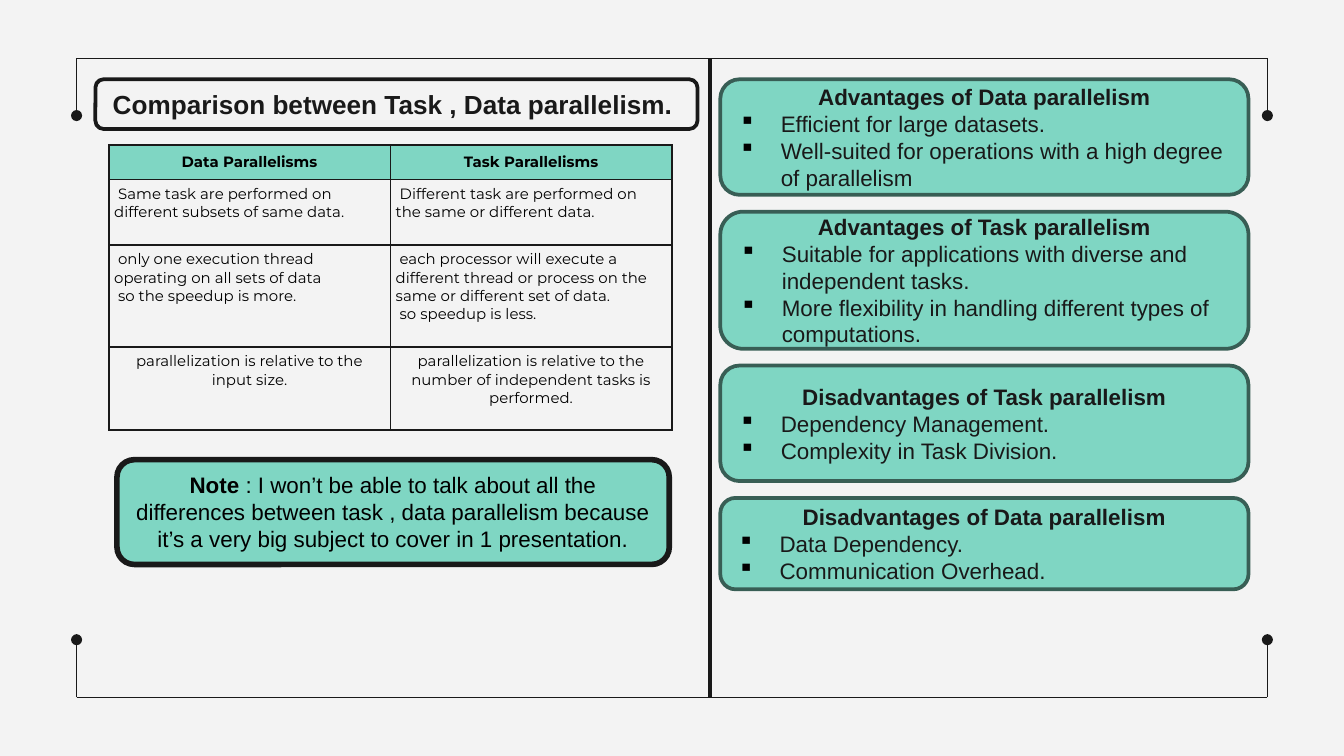
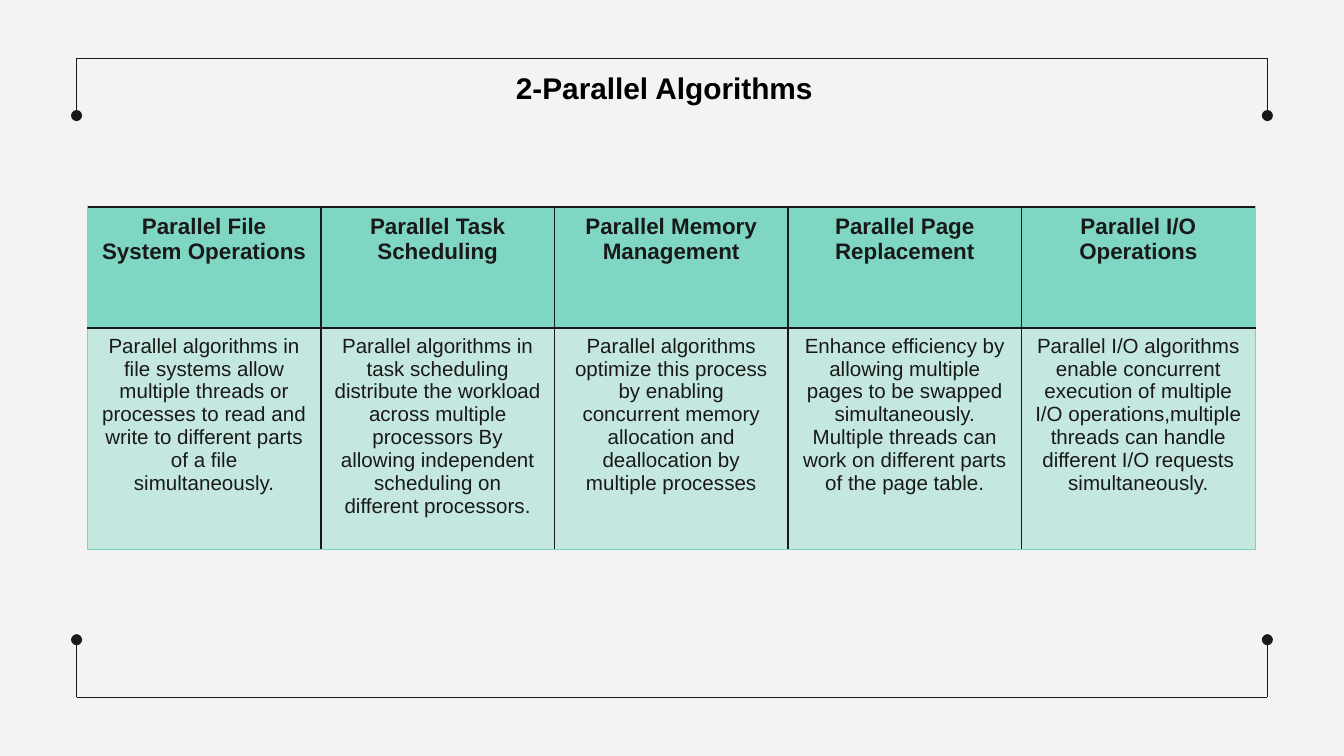
from dataclasses import dataclass

from lxml.etree import SubElement
from pptx import Presentation
from pptx.dml.color import RGBColor
from pptx.enum.shapes import MSO_CONNECTOR, MSO_SHAPE
from pptx.enum.text import MSO_ANCHOR, MSO_AUTO_SIZE, PP_ALIGN
from pptx.oxml import parse_xml
from pptx.oxml.ns import nsdecls, qn
from pptx.util import Inches, Pt


@dataclass(frozen=True)
class Theme:
    paper: str = "F3F3F3"
    ink: str = "191919"
    black: str = "000000"
    rule: str = "181818"
    mint: str = "7FD6C3"
    edge: str = "7AD3C0"
    pine: str = "385E55"
    sans: str = "Arial"
    grid: str = "Montserrat"
    title: int = 16
    head: int = 14
    body: int = 12
    cell: int = 11
    small: int = 8


T = Theme()
WIDTH, HEIGHT = Inches(10), Inches(5.625)
LEFT, MID = PP_ALIGN.LEFT, PP_ALIGN.CENTER

PAIRS = [
    (["Data Parallelisms"], ["Task Parallelisms"]),
    ([" Same task are performed on different subsets of same data."],
     [" Different task are performed on the same or different data."]),
    ([" only one execution thread operating on all sets of data",
      " so the speedup is more."],
     [" each processor will execute a different thread or process on the "
      "same or different set of data.", " so speedup is less."]),
    (["parallelization is relative to the input size."],
     ["parallelization is relative to the number of independent tasks is "
      "performed."]),
]

# Height, heading, points
CARDS = [
    (8.6, "Advantages of Data parallelism",
     ["Efficient for large datasets.",
      "Well-suited for operations with a high degree of parallelism"]),
    (10.2, "Advantages of Task parallelism",
     ["Suitable for applications with diverse and independent tasks.",
      "More flexibility in handling different types of computations."]),
    (8.6, "Disadvantages of Task parallelism",
     ["Dependency Management.", "Complexity in Task Division."]),
    (6.8, "Disadvantages of Data parallelism",
     ["Data Dependency.", "Communication Overhead."]),
]

NOTE = (": I won’t be able to talk about all the differences between task , "
        "data parallelism because it’s a very big subject to cover in "
        "1 presentation.")

KINDS = [
    ("Parallel File System Operations",
     "Parallel algorithms in file systems allow multiple threads or processes "
     "to read and write to different parts of a file simultaneously."),
    ("Parallel Task Scheduling",
     "Parallel algorithms in task scheduling distribute the workload across "
     "multiple processors By allowing independent scheduling on different "
     "processors."),
    ("Parallel Memory Management",
     "Parallel algorithms optimize this process by enabling concurrent memory "
     "allocation and deallocation by multiple processes"),
    ("Parallel Page Replacement",
     "Enhance efficiency by allowing multiple pages to be swapped "
     "simultaneously. Multiple threads can work on different parts of the "
     "page table."),
    ("Parallel I/O Operations",
     "Parallel I/O algorithms enable concurrent execution of multiple I/O "
     "operations,multiple threads can handle different I/O requests "
     "simultaneously."),
]


def span(*units):
    """Grid units to lengths: 100 columns across, with square cells."""
    return [round(unit * WIDTH / 100) for unit in units]


def rgb(tone):
    return RGBColor.from_string(tone)


# Text
def style(para, size, tone=T.ink, bold=False, align=MID, face=T.sans):
    para.alignment = align
    font = para.font
    font.size, font.name, font.bold = Pt(size), face, bold
    font.color.rgb = rgb(tone)


def fresh(frame, index):
    return frame.add_paragraph() if index else frame.paragraphs[0]


def write(frame, lines, size, **look):
    for index, line in enumerate(lines):
        para = fresh(frame, index)
        para.text = line
        style(para, size, **look)


def bullet(frame, text):
    para = frame.add_paragraph()
    para.text = text
    props = para._p.get_or_add_pPr()
    indent = Inches(0.31)
    props.set("marL", str(indent))
    props.set("indent", str(-indent))
    tone = SubElement(props, qn("a:buClr"))
    SubElement(tone, qn("a:srgbClr")).set("val", T.black)
    SubElement(props, qn("a:buChar")).set("char", "▪")
    style(para, T.body, align=LEFT)


# Lines and boxes
def line(slide, start, end, tone=T.ink, width=0.75, dot=False):
    link = slide.shapes.add_connector(
        MSO_CONNECTOR.STRAIGHT, *span(*start, *end))
    link.line.color.rgb = rgb(tone)
    link.line.width = Pt(width)
    if dot:
        SubElement(link.line._get_or_add_ln(), qn("a:tailEnd")).set(
            "type", "oval")
    SubElement(link._element.spPr, qn("a:effectLst"))


def box(slide, area, fill, tone, width, grow=False):
    shape = slide.shapes.add_shape(MSO_SHAPE.ROUNDED_RECTANGLE, *span(*area))
    shape.shadow.inherit = False
    shape.fill.solid()
    shape.fill.fore_color.rgb = rgb(fill)
    shape.line.color.rgb = rgb(tone)
    shape.line.width = Pt(width)
    frame = shape.text_frame
    frame.word_wrap = True
    frame.vertical_anchor = MSO_ANCHOR.TOP if grow else MSO_ANCHOR.MIDDLE
    if grow:
        frame.auto_size = MSO_AUTO_SIZE.SHAPE_TO_FIT_TEXT
    return frame


def card(slide, area, head, points):
    frame = box(slide, area, T.mint, T.pine, 2)
    write(frame, [head], T.body, bold=True)
    for point in points:
        bullet(frame, point)


# Tables
def table(slide, left, top, width, count, rows):
    shape = slide.shapes.add_table(
        len(rows), count, *span(left, top, width, sum(rows)))
    grid = shape.table
    for col in grid.columns:
        col.width = span(width / count)[0]
    for row, high in zip(grid.rows, rows):
        row.height = span(high)[0]
    return grid


def paint(cell, tone=None, alpha=None):
    if tone is None:
        cell.fill.background()
        return
    cell.fill.solid()
    cell.fill.fore_color.rgb = rgb(tone)
    if alpha:
        color = cell._tc.tcPr.find(qn("a:solidFill"))[0]
        SubElement(color, qn("a:alpha")).set("val", str(alpha * 1000))


def border(cell, soft=""):
    """Ink on every side; the sides named in soft get the thin mint edge."""
    props = cell._tc.get_or_add_tcPr()
    for index, side in enumerate("LRTB"):
        tone, width = (T.edge, 0.75) if side in soft else (T.ink, 1)
        props.insert(index, parse_xml(
            f'<a:ln{side} {nsdecls("a")} w="{Pt(width)}"><a:solidFill>'
            f'<a:srgbClr val="{tone}"/></a:solidFill></a:ln{side}>'))


def pad(cell, side, edge):
    cell.margin_left = cell.margin_right = Inches(side)
    cell.margin_top = cell.margin_bottom = Inches(edge)


# Parts of the slides
def base(deck):
    slide = deck.slides.add_slide(deck.slide_layouts[6])
    left, right = 5.7, 94.3
    for rail, tip in ((4.35, 8.6), (51.9, 47.6)):
        line(slide, (left, rail), (right, rail))
        for side in (left, right):
            line(slide, (side, rail), (side, tip), dot=True)
    return slide


def match(slide):
    grid = table(slide, 8.1, 10.8, 41.9, 2, [2.5, 4.85, 7.6, 6.2])
    last = len(PAIRS) - 1
    for r, pair in enumerate(PAIRS):
        for c, lines in enumerate(pair):
            cell, top = grid.cell(r, c), r == 0
            pad(cell, *((0.05, 0.06) if top else (0.04, 0.04)))
            paint(cell, T.mint if top else None)
            border(cell)
            write(cell.text_frame, lines, T.small, tone=T.black, bold=top,
                  align=MID if r in (0, last) else LEFT, face=T.grid)


def compare(deck):
    slide = base(deck)
    match(slide)
    head = box(slide, (7.1, 5.9, 44.8, 3.7), T.paper, T.ink, 2, grow=True)
    write(head, ["Comparison between Task , Data parallelism. "], T.head,
          bold=True)
    line(slide, (52.8, 4.4), (52.8, 51.9), T.rule, 2.25)

    # Stack of cards
    top, gap = 5.9, 1.25
    for high, title, points in CARDS:
        card(slide, (53.6, top, 39.3, high), title, points)
        top += high + gap

    # Note
    frame = box(slide, (8.7, 34.2, 41.1, 7.8), T.mint, T.ink, 3, grow=True)
    para = frame.paragraphs[0]
    style(para, T.body, T.black)
    for text, bold in (("Note ", True), (NOTE, False)):
        run = para.add_run()
        run.text, run.font.bold = text, bold


def survey(deck):
    slide = base(deck)
    title = slide.shapes.add_textbox(*span(37.4, 4.7, 25.1, 3.7)).text_frame
    title.word_wrap = False
    title.auto_size = MSO_AUTO_SIZE.SHAPE_TO_FIT_TEXT
    write(title, ["2-Parallel Algorithms"], T.title, tone=T.black, bold=True,
          align=LEFT)

    # Kinds of algorithm
    count = len(KINDS)
    grid = table(slide, 6.5, 15.4, 86.9, count, [9, 16.5])
    for c, (head, text) in enumerate(KINDS):
        side = {0: "L", count - 1: "R"}.get(c, "")
        top, low = grid.cell(0, c), grid.cell(1, c)
        paint(top, T.mint)
        paint(low, T.mint, alpha=40)
        border(top, side)
        border(low, side + "B")
        write(top.text_frame, [head], T.body, bold=True)
        write(low.text_frame, [text], T.cell)


def main():
    deck = Presentation()
    deck.slide_width, deck.slide_height = WIDTH, HEIGHT
    back = deck.slide_master.background.fill
    back.solid()
    back.fore_color.rgb = rgb(T.paper)
    compare(deck)
    survey(deck)
    deck.save("out.pptx")


if __name__ == "__main__":
    main()
